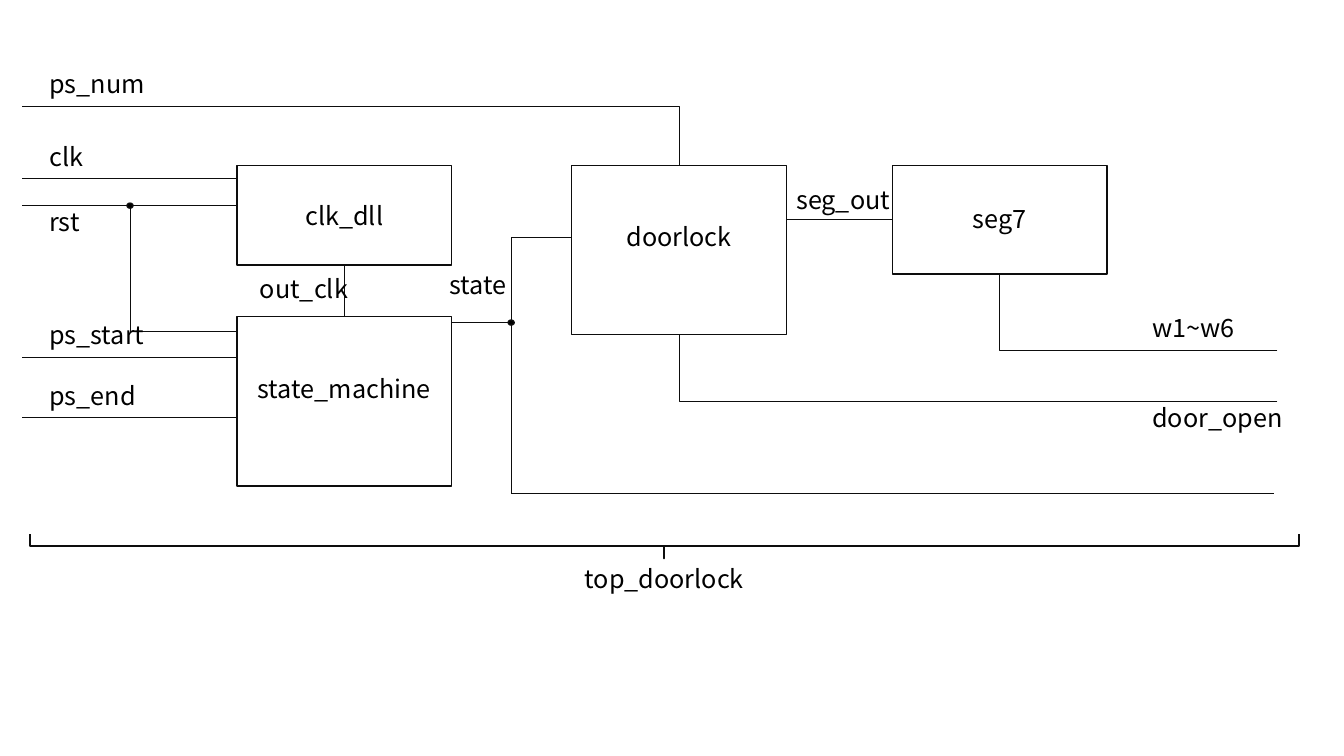
from dataclasses import dataclass

from lxml import etree
from pptx import Presentation
from pptx.dml.color import RGBColor
from pptx.enum.shapes import MSO_CONNECTOR, MSO_SHAPE
from pptx.enum.text import PP_ALIGN
from pptx.oxml.ns import qn
from pptx.util import Inches, Pt

STRAIGHT, ELBOW = MSO_CONNECTOR.STRAIGHT, MSO_CONNECTOR.ELBOW
RECT, DOT, BRACE = MSO_SHAPE.RECTANGLE, MSO_SHAPE.OVAL, MSO_SHAPE.LEFT_BRACE
LEFT, CENTER = PP_ALIGN.LEFT, PP_ALIGN.CENTER


@dataclass(frozen=True)
class Theme:
    font: str = "Noto Sans CJK KR"
    size: float = 18
    ink: RGBColor = RGBColor(0, 0, 0)
    stroke: RGBColor = RGBColor(0x0D, 0x0D, 0x0D)
    wire: float = 0.5
    outline: float = 1
    brace: float = 1.5


THEME = Theme()
SLIDE_W, SLIDE_H = 13.33, 7.5
BLOCK_W, LABEL_W, LABEL_H = 2.13, 1.54, 0.4
DOT_W, DOT_H = 0.06, 0.05

# Columns and rows of the diagram, in inches
COL = {"input": 0.22, "input_label": 0.39, "rst_tap": 1.29, "clock": 2.35,
       "state_tap": 5.07, "lock": 5.67, "segment": 8.85,
       "output_label": 11.33, "output": 12.67}
ROW = {"ps_num": 1.06, "top": 1.64, "clk": 1.77, "rst": 2.04, "seg_out": 2.18,
       "lock_in": 2.36, "machine": 3.14, "state": 3.2, "rst_branch": 3.29,
       "w": 3.48, "ps_start": 3.55, "door_open": 3.98, "ps_end": 4.14,
       "state_out": 4.89, "brace": 5.3, "caption": 5.54}

# name: column, row, height, label offset from the block's top
BLOCKS = {
    "clk_dll": ("clock", "top", 0.99, 0.3),
    "state_machine": ("clock", "machine", 1.68, 0.51),
    "doorlock": ("lock", "top", 1.68, 0.51),
    "seg7": ("segment", "top", 1.08, 0.33),
}
INPUTS = ["clk", "rst", "ps_start", "ps_end"]
# text: left, top
LABELS = {
    "ps_num": (COL["input_label"], 0.63),
    "clk": (COL["input_label"], 1.35),
    "rst": (COL["input_label"], 2.0),
    "ps_start": (COL["input_label"], 3.12),
    "ps_end": (COL["input_label"], 3.72),
    "out_clk": (2.48, 2.66),
    "state": (4.36, 2.62),
    "seg_out": (COL["lock"] + BLOCK_W, 1.78),
    "w1~w6": (COL["output_label"], 3.05),
    "door_open": (COL["output_label"], 3.94),
}
JUNCTIONS = [("rst_tap", "rst"), ("state_tap", "state")]
BRACE_LENGTH, BRACE_DEPTH, BRACE_CENTER = 12.59, 0.24, 6.59
CAPTION, CAPTION_LEFT, CAPTION_W = "top_doorlock", 5.7, 1.92


def center(block):
    return COL[BLOCKS[block][0]] + BLOCK_W / 2


def bottom(block):
    _, row, height, _ = BLOCKS[block]
    return ROW[row] + height


def add_label(shapes, text, left, top, width=LABEL_W, align=LEFT):
    frame = shapes.add_textbox(*map(Inches, (left, top, width, LABEL_H))).text_frame
    frame.word_wrap = True
    paragraph = frame.paragraphs[0]
    paragraph.alignment = align
    run = paragraph.add_run()
    run.text = text
    for key, value in {"name": THEME.font, "size": Pt(THEME.size)}.items():
        setattr(run.font, key, value)
    run.font.color.rgb = THEME.ink
    fonts = run.font._element
    for script in ("a:ea", "a:cs"):
        etree.SubElement(fonts, qn(script)).set("typeface", THEME.font)


def add_outline(shapes, kind, left, top, width, height, weight=THEME.outline, filled=False):
    shape = shapes.add_shape(kind, *map(Inches, (left, top, width, height)))
    shape.shadow.inherit = False
    if filled:
        shape.fill.solid()
        shape.fill.fore_color.rgb = THEME.ink
    else:
        shape.fill.background()
    shape.line.color.rgb = THEME.stroke
    shape.line.width = Pt(weight)
    return shape


def add_wire(shapes, start, end, kind=STRAIGHT, preset=None):
    wire = shapes.add_connector(kind, *map(Inches, (*start, *end)))
    wire.line.color.rgb = THEME.stroke
    wire.line.width = Pt(THEME.wire)
    properties = wire._element.spPr
    etree.SubElement(properties, qn("a:effectLst"))
    if preset:
        properties.find(qn("a:prstGeom")).set("prst", preset)


def add_corner(shapes, start, end):
    """Wire with one bend: leaves start horizontally and meets end vertically."""
    add_wire(shapes, start, end, ELBOW, "bentConnector2")


def add_blocks(shapes):
    for name, (col, row, height, offset) in BLOCKS.items():
        group = shapes.add_group_shape().shapes
        left, top = COL[col], ROW[row]
        add_outline(group, RECT, left, top, BLOCK_W, height)
        add_label(group, name, left, top + offset, BLOCK_W, CENTER)


def add_wires(shapes):
    clock_right, lock_right = COL["clock"] + BLOCK_W, COL["lock"] + BLOCK_W
    rst_tap, state_tap = COL["rst_tap"], COL["state_tap"]
    straight = [((COL["input"], ROW[pin]), (COL["clock"], ROW[pin])) for pin in INPUTS]
    straight += [
        ((rst_tap, ROW["rst"]), (rst_tap, ROW["rst_branch"])),
        ((rst_tap, ROW["rst_branch"]), (COL["clock"], ROW["rst_branch"])),
        ((lock_right, ROW["seg_out"]), (COL["segment"], ROW["seg_out"])),
        ((center("clk_dll"), bottom("clk_dll")), (center("clk_dll"), ROW["machine"])),
        ((state_tap, ROW["state"]), (state_tap, ROW["state_out"])),
        ((state_tap, ROW["state_out"]), (COL["output"] - 0.03, ROW["state_out"])),
    ]
    for start, end in straight:
        add_wire(shapes, start, end)
    add_wire(shapes, (clock_right, ROW["state"]), (COL["lock"], ROW["lock_in"]), ELBOW)
    add_corner(shapes, (COL["input"], ROW["ps_num"]), (center("doorlock"), ROW["top"]))
    for block, row in (("seg7", "w"), ("doorlock", "door_open")):
        add_corner(shapes, (COL["output"], ROW[row]), (center(block), bottom(block)))


def add_brace(shapes):
    """Flat brace under the diagram; it is turned, so length is its height."""
    middle = ROW["brace"] + BRACE_DEPTH / 2
    brace = add_outline(shapes, BRACE, BRACE_CENTER - BRACE_DEPTH / 2,
                        middle - BRACE_LENGTH / 2, BRACE_DEPTH, BRACE_LENGTH, THEME.brace)
    brace.rotation = 270
    brace.adjustments[0] = 0
    brace.adjustments[1] = 0.5
    add_label(shapes, CAPTION, CAPTION_LEFT, ROW["caption"], CAPTION_W)


def main():
    deck = Presentation()
    deck.slide_width, deck.slide_height = Inches(SLIDE_W), Inches(SLIDE_H)
    shapes = deck.slides.add_slide(deck.slide_layouts[6]).shapes
    add_blocks(shapes)
    add_wires(shapes)
    for col, row in JUNCTIONS:
        add_outline(shapes, DOT, COL[col] - DOT_W / 2, ROW[row] - DOT_H / 2,
                    DOT_W, DOT_H, filled=True)
    for text, (left, top) in LABELS.items():
        add_label(shapes, text, left, top)
    add_brace(shapes)
    deck.save("out.pptx")


if __name__ == "__main__":
    main()
